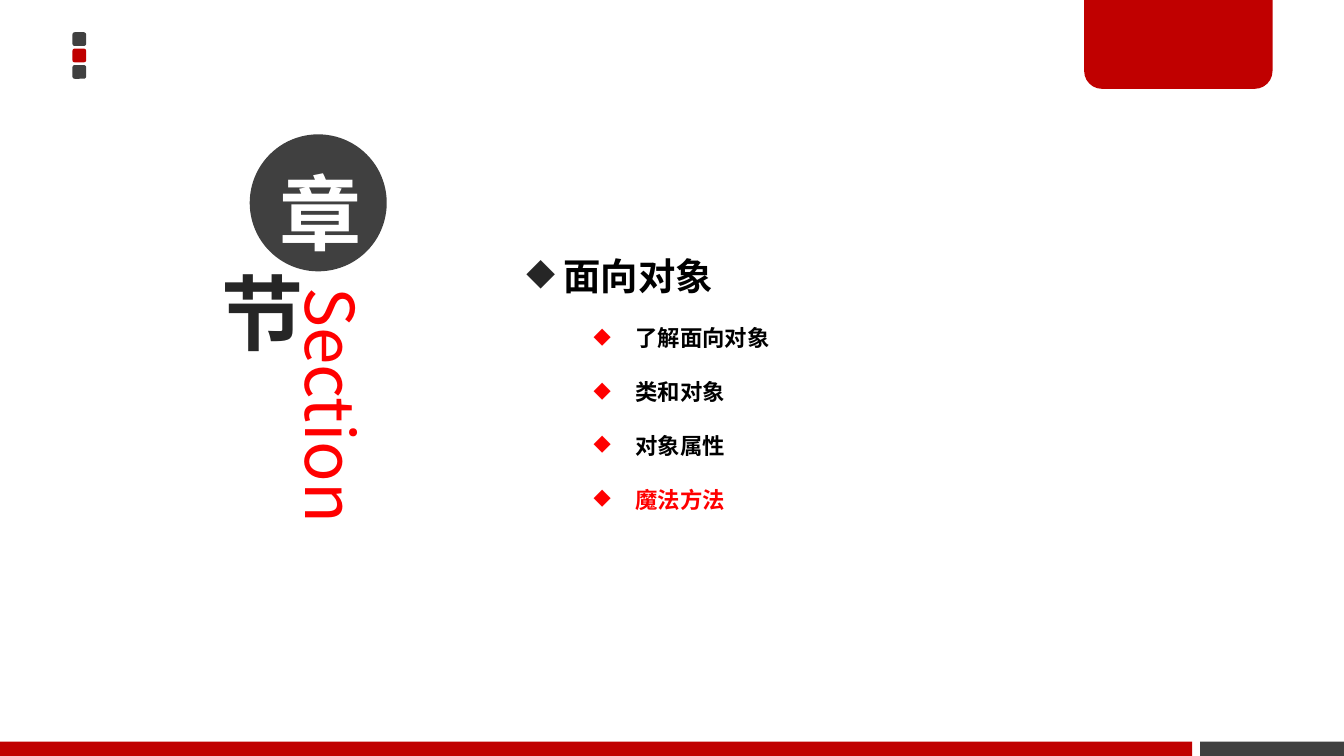
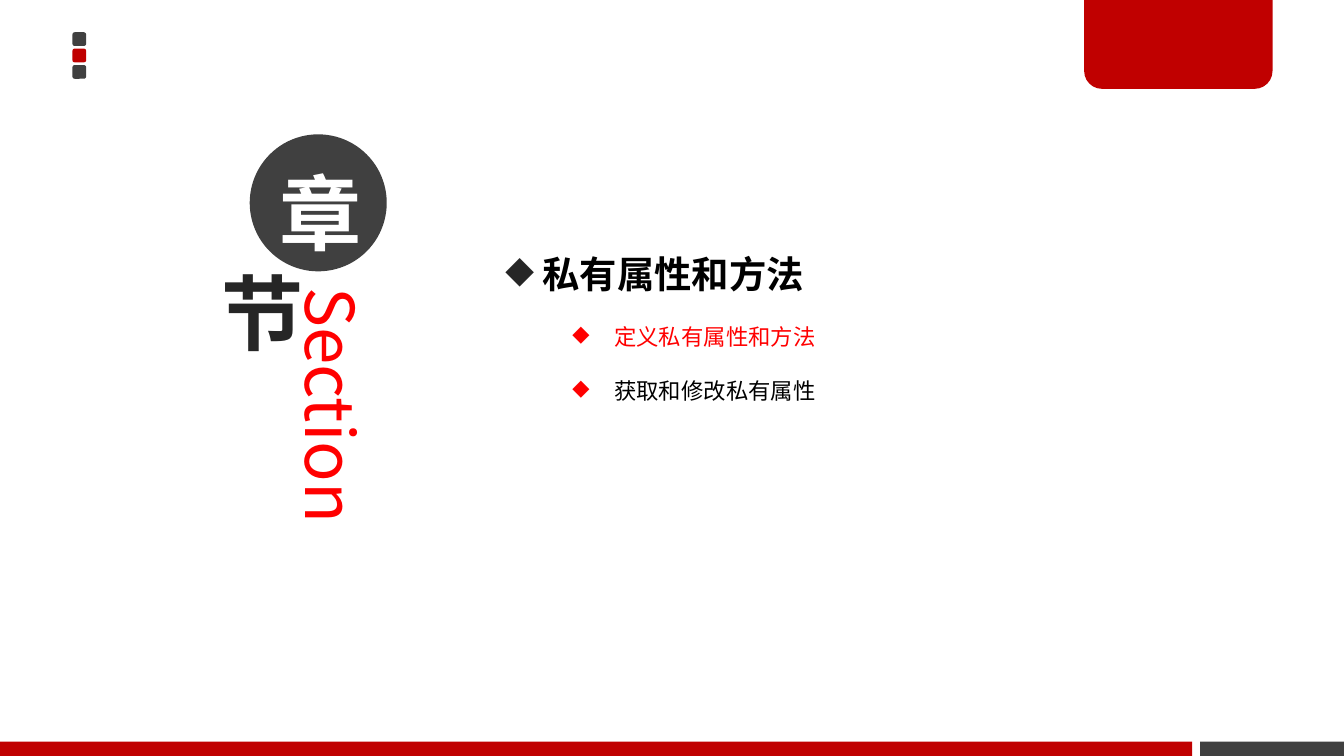
from lxml import etree
from pptx import Presentation
from pptx.dml.color import RGBColor
from pptx.enum.shapes import MSO_SHAPE
from pptx.enum.text import MSO_ANCHOR, MSO_AUTO_SIZE, PP_ALIGN
from pptx.oxml.ns import qn
from pptx.util import Cm, Pt

RECTANGLE = MSO_SHAPE.RECTANGLE
ROUNDED = MSO_SHAPE.ROUNDED_RECTANGLE
TAB = MSO_SHAPE.ROUND_2_SAME_RECTANGLE
OVAL = MSO_SHAPE.OVAL
MIDDLE = MSO_ANCHOR.MIDDLE
CENTER = PP_ALIGN.CENTER
FIT_SHAPE = MSO_AUTO_SIZE.SHAPE_TO_FIT_TEXT

FONT = "Noto Sans CJK SC"
LATIN_FONT = "Calibri"
BLACK, WHITE = "000000", "FFFFFF"
INK, GRAY = "262626", "404040"
RED, BRIGHT_RED = "C00000", "FF0000"

# Kind, left, top, width, height (cm), fill
DECORATIONS = [
    (ROUNDED, 1.37, 0.61, 0.26, 0.26, GRAY),
    (ROUNDED, 1.37, 0.92, 0.26, 0.26, RED),
    (ROUNDED, 1.37, 1.23, 0.26, 0.26, GRAY),
    (RECTANGLE, 22.68, 14.02, 2.72, 0.27, GRAY),
    (TAB, 20.49, 0, 3.56, 1.68, RED),
    (RECTANGLE, 0, 14.02, 22.53, 0.27, RED),
]

# Character, left, top, diameter, bottom inset (cm), circle fill, text colour, line spacing
BADGES = [
    ("章", 4.72, 2.54, 2.59, 0.38, GRAY, WHITE, Pt(70)),
    ("节", 3.71, 4.88, 2.03, 0.1, None, INK, None),
]

# Left, top, height (cm), heading, items in bold, items with their colours
SECTIONS = [
    (9.7, 3.81, 7.09, " 面向对象", True, [
        ("了解面向对象", BLACK),
        ("类和对象", BLACK),
        ("对象属性", BLACK),
        ("魔法方法", BRIGHT_RED),
    ]),
    (9.3, 3.78, 4.01, " 私有属性和方法", False, [
        ("定义私有属性和方法", BRIGHT_RED),
        ("获取和修改私有属性", BLACK),
    ]),
]


def color(value):
    """Turn a hex string into a colour."""
    return RGBColor.from_string(value)


def write(paragraph, text, size, text_color, bold=False, latin=FONT, bullet=None):
    """Fill a paragraph; bullet is (colour, left margin, hanging indent) in cm."""
    paragraph.text = text
    font = paragraph.font
    font.size, font.bold, font.name = Pt(size), bold, latin
    font.color.rgb = color(text_color)
    properties = paragraph._p.pPr
    defaults = properties.find(qn("a:defRPr"))
    etree.SubElement(defaults, qn("a:ea"), typeface=FONT)
    if bullet:
        bullet_color, margin, hanging = bullet
        properties.set("marL", str(Cm(margin)))
        properties.set("indent", str(-Cm(hanging)))
        color_element = etree.Element(qn("a:buClr"))
        etree.SubElement(color_element, qn("a:srgbClr"), val=bullet_color)
        defaults.addprevious(color_element)
        defaults.addprevious(etree.Element(qn("a:buChar"), char="◆"))
        paragraph.line_spacing = 2.0


presentation = Presentation()
presentation.slide_width = Cm(25.4)
presentation.slide_height = Cm(14.29)
blank_layout = presentation.slide_layouts[6]

for left, top, height, heading, bold_items, items in SECTIONS:
    slide = presentation.slides.add_slide(blank_layout)

    # Corner squares, tab and footer bars
    for kind, x, y, shape_width, shape_height, fill in DECORATIONS:
        shape = slide.shapes.add_shape(kind, Cm(x), Cm(y), Cm(shape_width), Cm(shape_height))
        shape.shadow.inherit = False
        shape.fill.solid()
        shape.fill.fore_color.rgb = color(fill)
        shape.line.fill.background()
        if kind == TAB:
            shape.adjustments[0] = 0
            shape.adjustments[1] = 0.2

    # Vertical section label
    label = slide.shapes.add_textbox(Cm(5.44), Cm(5.33), Cm(1.78), Cm(7.34))
    frame = label.text_frame
    frame.word_wrap = True
    frame.margin_left = frame.margin_right = Cm(0.18)
    frame.margin_top = frame.margin_bottom = Cm(0.1)
    frame._txBody.bodyPr.set("vert", "vert")
    write(frame.paragraphs[0], "Section", 36, BRIGHT_RED)

    # Large characters beside the label
    for character, x, y, diameter, bottom_inset, fill, text_color, spacing in BADGES:
        badge = slide.shapes.add_shape(OVAL, Cm(x), Cm(y), Cm(diameter), Cm(diameter))
        badge.shadow.inherit = False
        badge.line.fill.background()
        if fill:
            badge.fill.solid()
            badge.fill.fore_color.rgb = color(fill)
        else:
            badge.fill.background()
        frame = badge.text_frame
        frame.word_wrap = True
        frame.vertical_anchor = MIDDLE
        frame.margin_left = frame.margin_right = Cm(0.18)
        frame.margin_top, frame.margin_bottom = Cm(0.1), Cm(bottom_inset)
        paragraph = frame.paragraphs[0]
        paragraph.alignment = CENTER
        write(paragraph, character, 44, text_color, bold=True)
        if spacing:
            paragraph.line_spacing = spacing

    # Section heading and its topics
    outline = slide.shapes.add_textbox(Cm(left), Cm(top), Cm(11.99), Cm(height))
    frame = outline.text_frame
    frame.word_wrap = True
    frame.auto_size = FIT_SHAPE
    write(frame.paragraphs[0], heading, 20, BLACK, bold=True, bullet=(INK, 0.48, 0.48))
    for text, text_color in items:
        paragraph = frame.add_paragraph()
        paragraph.level = 1
        write(paragraph, text, 12, text_color, bold_items, LATIN_FONT,
              bullet=(BRIGHT_RED, 2.06, 0.79))

presentation.save("out.pptx")
